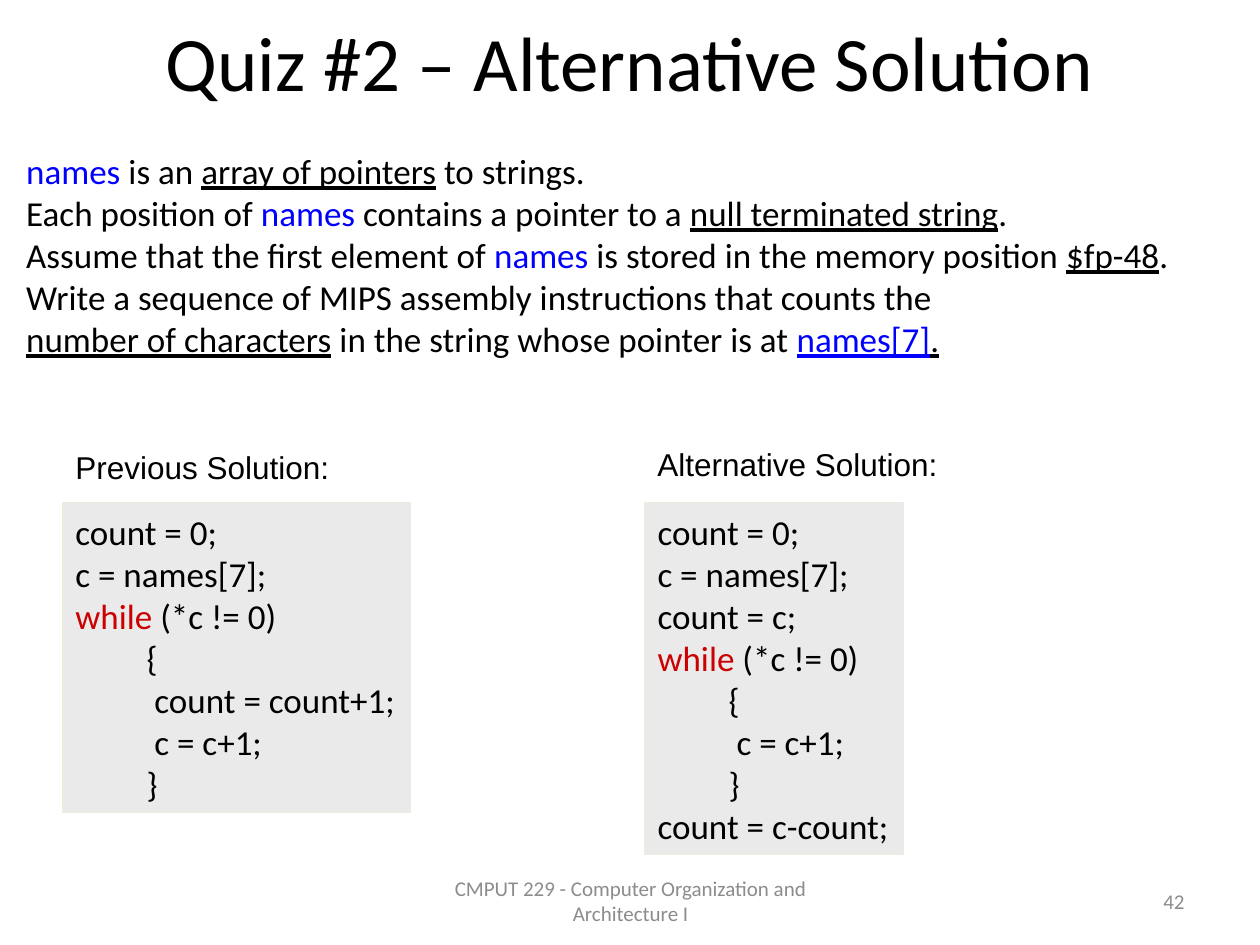
from pptx import Presentation
from pptx.dml.color import RGBColor
from pptx.enum.shapes import MSO_SHAPE as Shape
from pptx.enum.text import MSO_ANCHOR as Anchor, MSO_AUTO_SIZE as Fit, PP_ALIGN as Align
from pptx.util import Inches, Pt

BLACK = RGBColor(0x00, 0x00, 0x00)
BLUE = RGBColor(0x00, 0x00, 0xFF)
RED = RGBColor(0xCC, 0x00, 0x00)
GRAY = RGBColor(0x8C, 0x8C, 0x8C)
PALE = RGBColor(0xEA, 0xEA, 0xEA)
CREAM = RGBColor(0xEE, 0xEC, 0xE1)

NAMES = ("names", BLUE)
TASK = [
    [NAMES, (" is an ",), ("array of pointers", BLACK, True), (" to strings.",)],
    [("Each position of ",), NAMES, (" contains a pointer to a ",),
     ("null terminated string", BLACK, True), (".",)],
    [("Assume that the first element of ",), NAMES,
     (" is stored in the memory position ",), ("$fp-48", BLACK, True), (".",)],
    [("Write a sequence of MIPS assembly instructions that counts the",)],
    [("number of characters", BLACK, True), (" in the string whose pointer is at ",),
     ("names[7]", BLUE, True), (".", BLACK, True)],
]
START = [[("count = 0;",)], [("c = names[7];",)]]
LOOP = [[("while", RED), (" (*c != 0)",)], [("         {",)]]
STEP = [[("          c = c+1;",)], [("         }",)]]
BEFORE = START + LOOP + [[("          count = count+1;",)]] + STEP
AFTER = START + [[("count = c;",)]] + LOOP + STEP + [[("count = c-count;",)]]


def write(shape, lines, size, font="Calibri", color=BLACK, align=Align.LEFT,
          anchor=Anchor.MIDDLE, wrap=False, hang=0):
    """Fill a shape with lines made of (text, color, underline) runs."""
    frame = shape.text_frame
    frame.word_wrap = wrap
    frame.auto_size = Fit.NONE if wrap else Fit.SHAPE_TO_FIT_TEXT
    frame.vertical_anchor = anchor
    for i, line in enumerate(lines):
        para = frame.add_paragraph() if i else frame.paragraphs[0]
        para.alignment = align
        if hang:
            props = para._p.get_or_add_pPr()
            props.set("marL", str(Inches(hang)))
            props.set("indent", str(-Inches(hang)))
        for text, *style in line:
            tint, under = (style + [color, False][len(style):])
            run = para.add_run()
            run.text = text
            run.font.name = font
            run.font.size = Pt(size)
            run.font.color.rgb = tint
            if under:
                run.font.underline = True


def add_text(slide, box, lines, size, **style):
    """Place a text box."""
    write(slide.shapes.add_textbox(*map(Inches, box)), lines, size, **style)


def add_code(slide, box, label, lines, rise, width):
    """Place a shaded code panel with its label above."""
    left, top, wide, high = box
    panel = slide.shapes.add_shape(Shape.RECTANGLE, *map(Inches, box))
    panel.shadow.inherit = False
    panel.fill.solid()
    panel.fill.fore_color.rgb = PALE
    panel.line.color.rgb = CREAM
    panel.line.width = Pt(0.75)
    write(panel, lines, 20, hang=0.5)
    add_text(slide, (left, top - rise, width, 0.4), [[(label,)]], 18,
             font="Arial", anchor=Anchor.TOP)


def add_footer(slide, top, high):
    """Place the course name and the slide number."""
    course = "CMPUT 229 - Computer Organization and Architecture I"
    for left, width, text, align in ((3.42, 3.17, course, Align.CENTER),
                                     (7.17, 2.33, "42", Align.RIGHT)):
        add_text(slide, (left, top, width, high), [[(text,)]], 12,
                 color=GRAY, align=align, wrap=True)


def main():
    """Build the slide and save it."""
    deck = Presentation()
    deck.slide_width, deck.slide_height = Inches(10), Inches(7.5)
    slide = deck.slides.add_slide(deck.slide_layouts[6])
    add_footer(slide, 6.95, 0.4)
    add_text(slide, (0.5, -0.14, 9, 1.25), [[("Quiz #2 – Alternative Solution",)]],
             44, align=Align.CENTER, wrap=True)
    add_text(slide, (0.11, 1.13, 9.34, 1.78), TASK, 20)
    add_code(slide, (0.5, 3.99, 2.76, 2.46), "Previous Solution:", BEFORE, 0.48, 2.24)
    add_code(slide, (5.12, 3.99, 2.05, 2.79), "Alternative Solution:", AFTER, 0.51, 2.46)
    deck.save("out.pptx")


if __name__ == "__main__":
    main()
